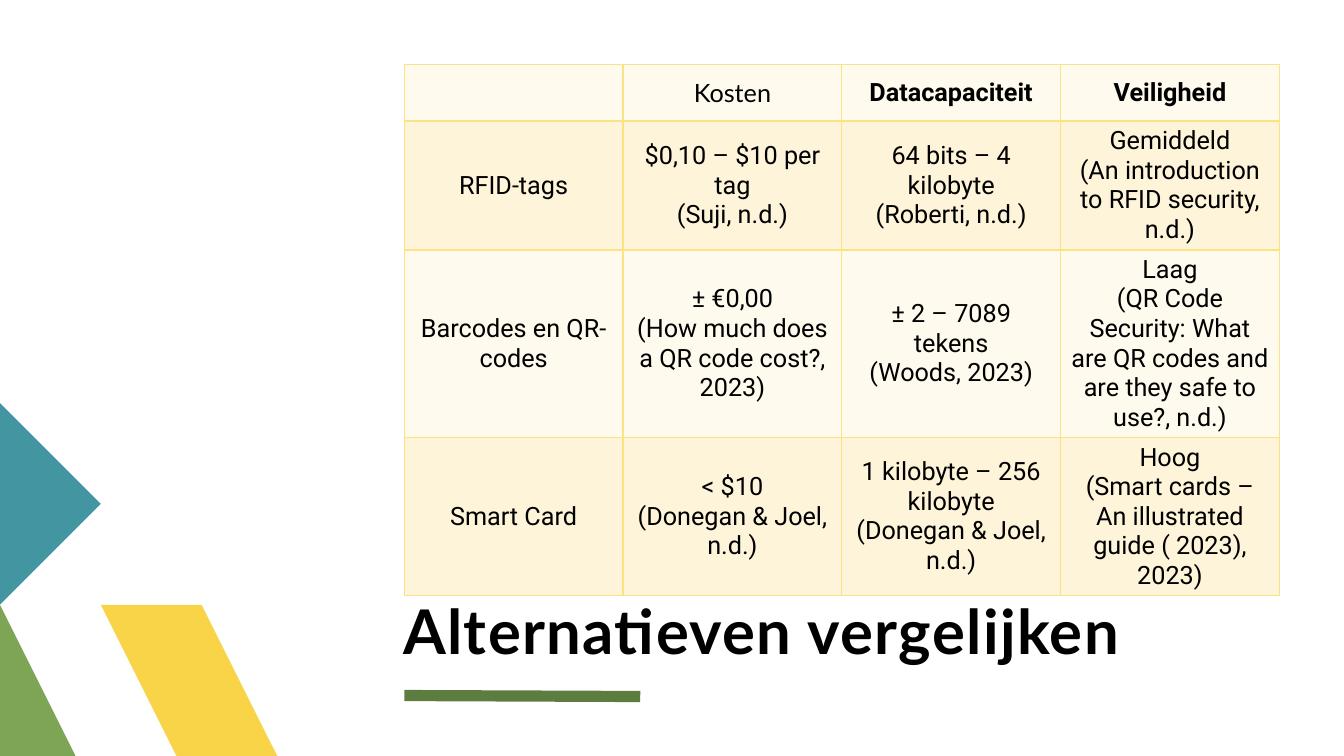
import pptx
import pptx.dml.color
import pptx.enum.shapes
import pptx.enum.text
import pptx.oxml
import pptx.oxml.ns
import pptx.util
from pptx.util import Inches

# Content
TITLE = "Alternatieven vergelijken"
HEADERS = ["", "Kosten", "Datacapaciteit", "Veiligheid"]
ALTERNATIVES = [
    ["RFID-tags", "$0,10 – $10 per tag\n(Suji, n.d.)",
     "64 bits – 4 kilobyte\n(Roberti, n.d.)",
     "Gemiddeld\n(An introduction to RFID security, n.d.)"],
    ["Barcodes en QR-codes", "± €0,00\n(How much does a QR code cost?, 2023)",
     "± 2 – 7089 tekens\n(Woods, 2023)",
     "Laag\n(QR Code Security: What are QR codes and are they safe to use?, n.d.)"],
    ["Smart Card", "< $10\n(Donegan & Joel, n.d.)",
     "1 kilobyte – 256 kilobyte\n(Donegan & Joel, n.d.)",
     "Hoog\n(Smart cards – An illustrated guide ( 2023), 2023)"],
]

THEME = {
    "text": "000000", "title_font": "Lato", "table_font": "Roboto",
    "title_size": 44, "table_size": 18,
    "yellow": "F9D448", "green": "7CA655", "teal": "4495A2", "rule": "5D7D40",
    "bands": ["FEFAED", "FDF4D9"], "border": "FBE284",
}

# Corner decoration: colour name and corner points in inches
CORNER_SHAPES = [
    ("yellow", [(3.24, 7.5), (2.15, 7.5), (1.06, 6.41), (1.61, 5.87)]),
    ("green", [(1.06, 7.5), (0, 7.5), (0, 6.44)]),
    ("teal", [(0, 4.27), (1.06, 5.33), (0, 6.39)]),
]
TABLE_LEFT, TABLE_TOP, COLUMN_WIDTH = 4.01, 0.64, 2.17
ROW_HEIGHTS = [0.56, 1.28, 1.86, 1.57]


def color(name):
    return pptx.dml.color.RGBColor.from_string(THEME.get(name, name))


def write_text(frame, text, font, size, bold=False, align=None,
               line_spacing=None, letter_spacing=None):
    for index, line in enumerate(text.split("\n")):
        paragraph = frame.paragraphs[0] if index == 0 else frame.add_paragraph()
        paragraph.alignment = align
        paragraph.line_spacing = line_spacing
        run = paragraph.add_run()
        run.text = line
        run.font.name = font
        run.font.size = pptx.util.Pt(size)
        run.font.bold = bold
        run.font.color.rgb = color("text")
        if letter_spacing:
            run.font._element.set("spc", str(letter_spacing * 100))


def add_borders(cell):
    properties = cell._tc.get_or_add_tcPr()
    for side in ("lnL", "lnR", "lnT", "lnB"):
        properties.append(pptx.oxml.parse_xml(
            f'<a:{side} {pptx.oxml.ns.nsdecls("a")} w="12700"><a:solidFill>'
            f'<a:srgbClr val="{THEME["border"]}"/></a:solidFill></a:{side}>'))


def add_corner_shapes(slide):
    for fill, points in CORNER_SHAPES:
        builder = slide.shapes.build_freeform(*points[0], scale=Inches(1))
        builder.add_line_segments(points[1:], close=True)
        shape = builder.convert_to_shape()
        shape.shadow.inherit = False
        shape.fill.solid()
        shape.fill.fore_color.rgb = color(fill)
        shape.line.fill.background()


def add_title(slide):
    title = slide.shapes.title
    title.left, title.top = Inches(4), Inches(5.1)
    title.width, title.height = Inches(8.68), Inches(1.51)
    frame = title.text_frame
    frame.margin_left = frame.margin_right = 0
    frame.margin_top = frame.margin_bottom = 0
    frame.word_wrap = True
    frame.auto_size = pptx.enum.text.MSO_AUTO_SIZE.NONE
    frame.vertical_anchor = pptx.enum.text.MSO_ANCHOR.BOTTOM
    write_text(frame, TITLE, THEME["title_font"], THEME["title_size"], bold=True,
               align=pptx.enum.text.PP_ALIGN.LEFT, line_spacing=0.8,
               letter_spacing=1)


def add_title_rule(slide):
    rule = slide.shapes.add_connector(
        pptx.enum.shapes.MSO_CONNECTOR.STRAIGHT,
        Inches(4.01), Inches(6.9), Inches(6.35), Inches(6.91))
    rule.line.color.rgb = color("rule")
    rule.line.width = pptx.util.Pt(8)
    rule._element.spPr.append(pptx.oxml.parse_xml(
        f'<a:effectLst {pptx.oxml.ns.nsdecls("a")}/>'))


def add_comparison_table(slide):
    rows = [HEADERS] + ALTERNATIVES
    table = slide.shapes.add_table(
        len(rows), len(HEADERS), Inches(TABLE_LEFT), Inches(TABLE_TOP),
        Inches(COLUMN_WIDTH * len(HEADERS)), Inches(sum(ROW_HEIGHTS))).table
    table.first_row = table.horz_banding = False
    for column in table.columns:
        column.width = Inches(COLUMN_WIDTH)
    for row_index, texts in enumerate(rows):
        table.rows[row_index].height = Inches(ROW_HEIGHTS[row_index])
        for column_index, text in enumerate(texts):
            cell = table.cell(row_index, column_index)
            add_borders(cell)
            cell.fill.solid()
            cell.fill.fore_color.rgb = color(THEME["bands"][row_index % 2])
            cell.vertical_anchor = pptx.enum.text.MSO_ANCHOR.MIDDLE
            if not text:
                continue
            is_cost_header = text == "Kosten"
            write_text(
                cell.text_frame, text,
                THEME["title_font" if is_cost_header else "table_font"],
                THEME["table_size"], bold=row_index == 0 and not is_cost_header,
                align=pptx.enum.text.PP_ALIGN.CENTER)


def main():
    presentation = pptx.Presentation()
    presentation.slide_width = Inches(13.33)
    presentation.slide_height = Inches(7.5)
    slide = presentation.slides.add_slide(presentation.slide_layouts[5])
    add_corner_shapes(slide)
    add_title_rule(slide)
    add_title(slide)
    add_comparison_table(slide)
    presentation.save("out.pptx")


if __name__ == "__main__":
    main()
